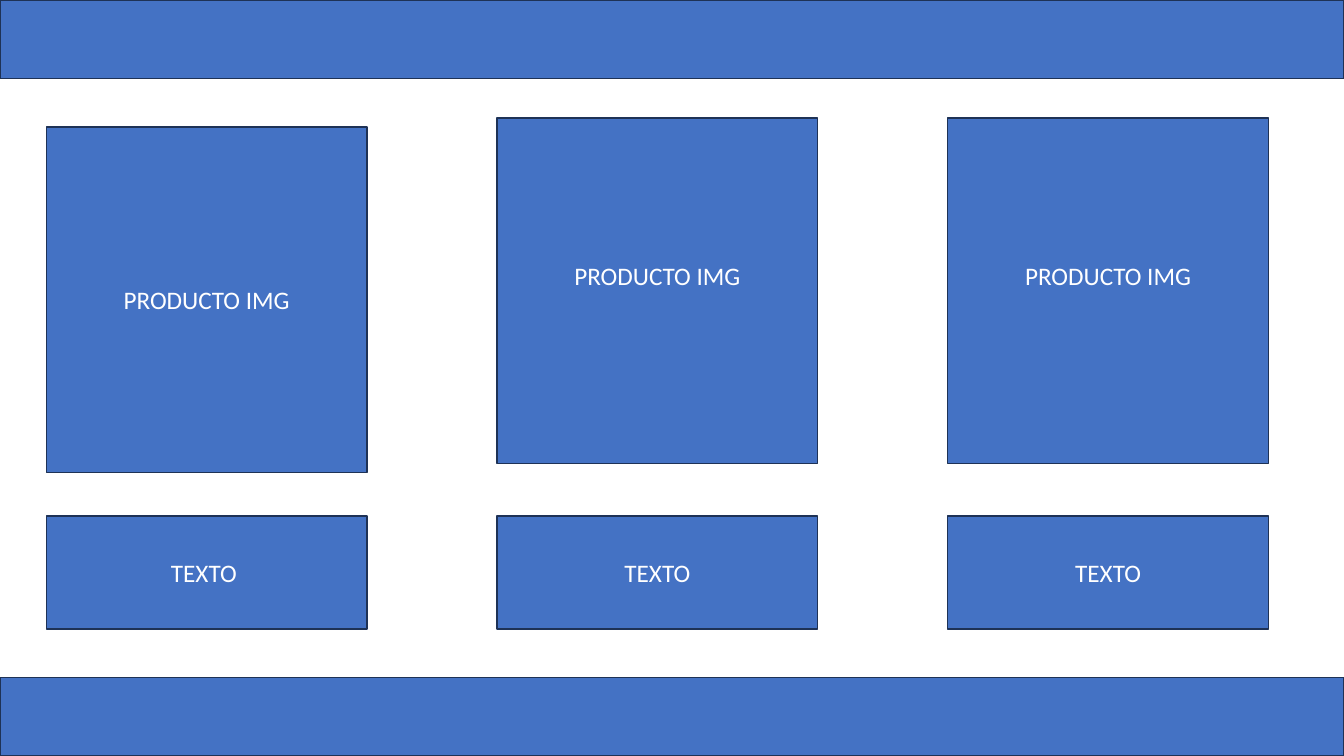
from pptx import Presentation
from pptx import util as u
from pptx.dml.color import RGBColor
from pptx.enum import shapes, text

COLORS = {"fill": "4472C4", "line": "1E3256", "text": "FFFFFF"}
FONT = "Calibri"
SLIDE_W, SLIDE_H = 13.33, 7.5
BAND_H = 0.78
CARD_W, CARD_STEP, CARD_LEFT = 3.18, 4.47, 0.46
IMAGE_H, CAPTION_TOP, CAPTION_H = 3.43, 5.12, 1.12
LINE_H = 0.3

# Top of the image block, its label's lift, and the caption for each product
PRODUCTS = [(1.26, 0, "TEXTO "), (1.17, LINE_H, "TEXTO"), (1.17, LINE_H, "TEXTO")]


def write(sp, label, size=18, color="text", lift=0):
    """Centre a label in a shape, with extra bottom inset to lift it."""
    tf = sp.text_frame
    tf.word_wrap = True
    tf.vertical_anchor = text.MSO_ANCHOR.MIDDLE
    tf.margin_bottom = u.Inches(0.05 + lift)
    p = tf.paragraphs[0]
    p.alignment = text.PP_ALIGN.CENTER
    r = p.add_run()
    r.text = label
    r.font.name = FONT
    r.font.size = u.Pt(size)
    r.font.color.rgb = RGBColor.from_string(COLORS[color])


def add_block(s, x, y, w, h):
    """Add a filled and outlined rectangle."""
    sp = s.shapes.add_shape(shapes.MSO_SHAPE.RECTANGLE, *map(u.Inches, (x, y, w, h)))
    sp.shadow.inherit = False
    sp.fill.solid()
    sp.fill.fore_color.rgb = RGBColor.from_string(COLORS["fill"])
    sp.line.color.rgb = RGBColor.from_string(COLORS["line"])
    sp.line.width = u.Pt(1)
    return sp


def add_image_block(s, x, y, w, h, lift):
    """Add the product image block with its label."""
    write(add_block(s, x, y, w, h), "PRODUCTO IMG", lift=lift)


def add_caption(s, x, y, w, h, label):
    """Add the caption block below a product."""
    write(add_block(s, x, y, w, h), label)


def build_slide(prs):
    """Lay out the header, the three product columns and the footer."""
    s = prs.slides.add_slide(prs.slide_layouts[6])
    add_block(s, 0, 0, SLIDE_W, BAND_H)
    for i, (top, lift, caption) in enumerate(PRODUCTS):
        x = CARD_LEFT + i * CARD_STEP
        add_image_block(s, x, top, CARD_W, IMAGE_H, lift)
        add_caption(s, x, CAPTION_TOP, CARD_W, CAPTION_H, caption)
    add_block(s, 0, SLIDE_H - BAND_H, SLIDE_W, BAND_H)


prs = Presentation()
prs.slide_width, prs.slide_height = u.Inches(SLIDE_W), u.Inches(SLIDE_H)
build_slide(prs)
prs.save("out.pptx")
